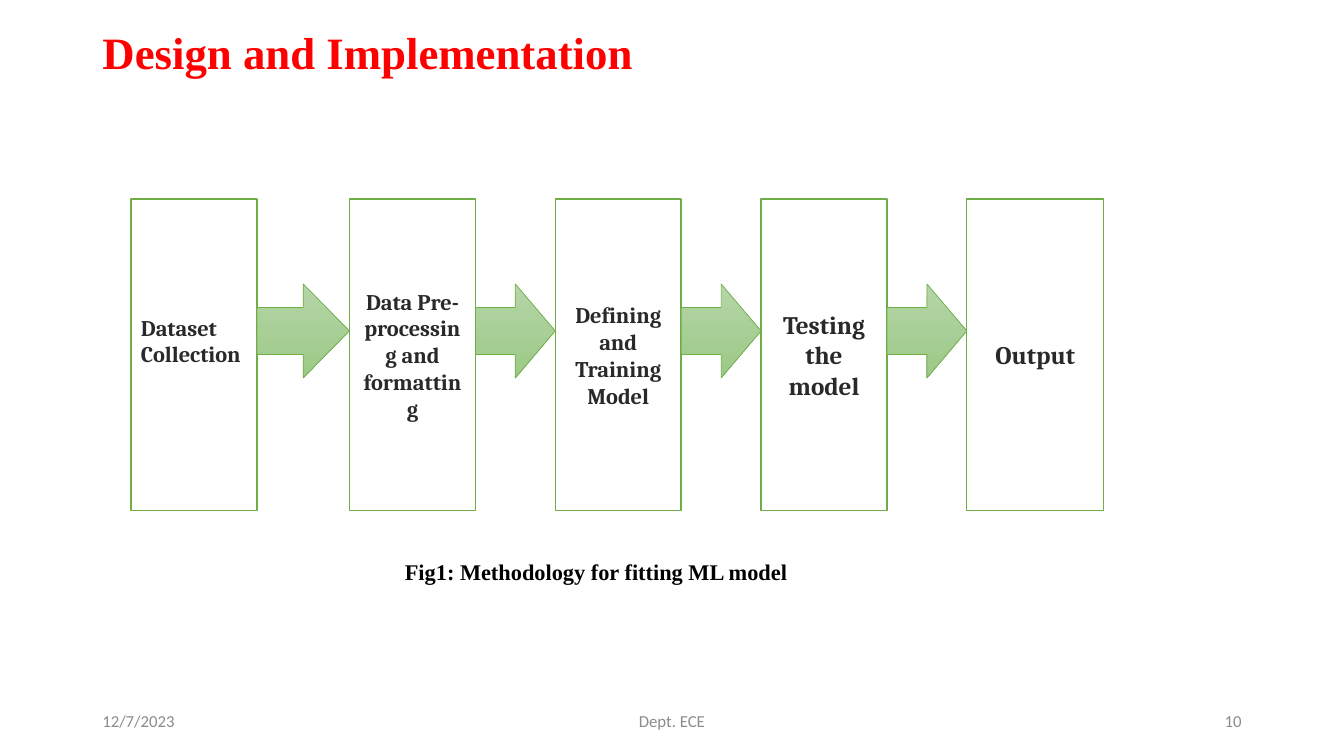
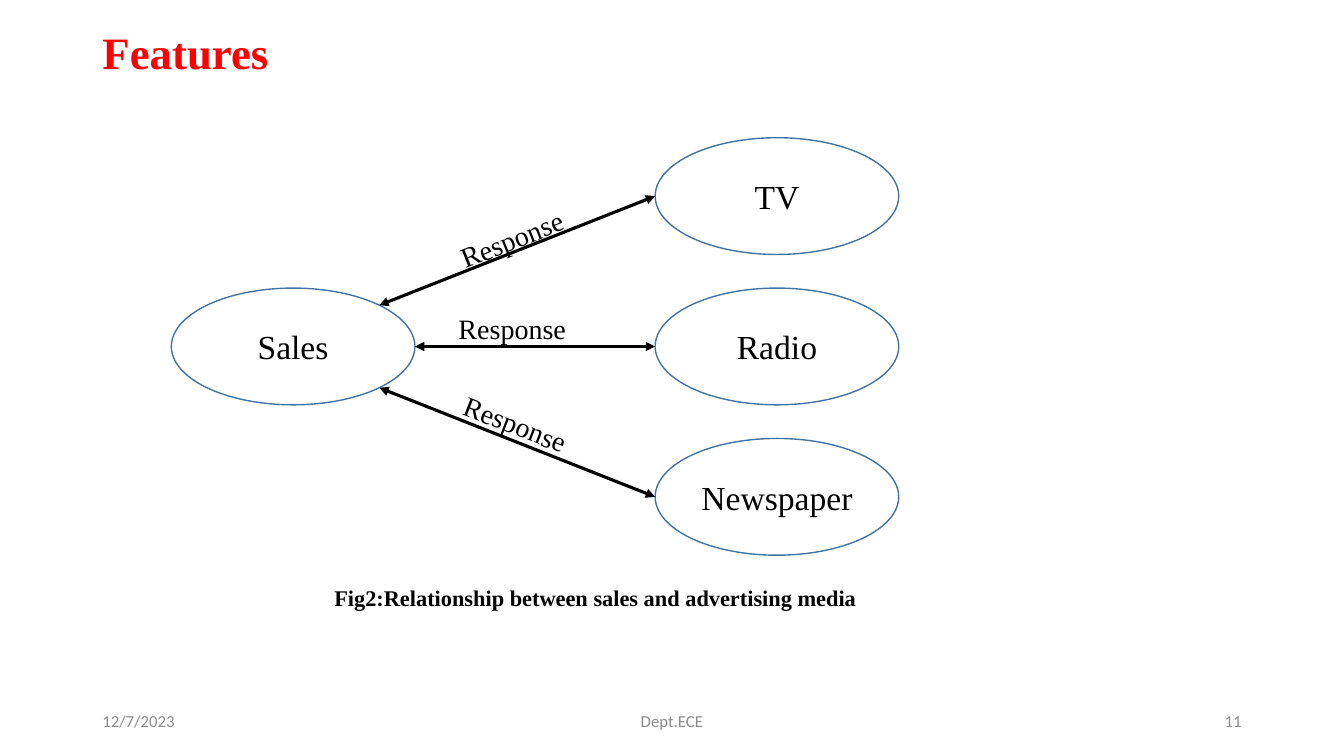
"""Build two slides: a five-step method flow and a sales-to-media relationship diagram."""
from dataclasses import dataclass
from math import sqrt

from lxml.etree import SubElement
from pptx import Presentation
from pptx.dml.color import RGBColor
from pptx.enum.shapes import MSO_CONNECTOR, MSO_SHAPE
from pptx.enum.text import MSO_ANCHOR, PP_ALIGN
from pptx.oxml.ns import qn
from pptx.util import Inches, Pt

COLUMNS, ROWS = 160, 90
SERIF, BOX_FONT, FOOTER_FONT = "Times New Roman", "Cambria", "Calibri"
BLACK, WHITE, RED = "000000", "FFFFFF", "FF0000"
DARK, GRAY, GREEN, BLUE = "292929", "8C8C8C", "70AD47", "43739E"
ARROW_TOP, ARROW_BOTTOM = "B5D5A7", "9CC987"


@dataclass(frozen=True)
class Area:
    left: float
    top: float
    width: float
    height: float

    @property
    def middle(self):
        return self.top + self.height / 2

    @property
    def right(self):
        return self.left + self.width

    def lengths(self):
        return [grid(value) for value in (self.left, self.top, self.width, self.height)]


@dataclass(frozen=True)
class Step:
    text: str
    area: Area
    size: int = 16
    align: PP_ALIGN = PP_ALIGN.CENTER
    bottom_margin: float = 0.6


@dataclass(frozen=True)
class Label:
    area: Area
    rotation: float


TITLE = Area(11, 2.9, 69, 7.4)
FOOTERS = [
    (Area(11, 83.4, 36, 4.8), PP_ALIGN.LEFT),
    (Area(53, 83.4, 54, 4.8), PP_ALIGN.CENTER),
    (Area(113, 83.4, 36, 4.8), PP_ALIGN.RIGHT),
]


def step_area(column: float, width: float = 15) -> Area:
    return Area(column, 23.7, width, 37.1)


SECOND_STEP, STEP_PITCH = 41.6, 24.5
STEPS = [
    Step("Dataset Collection", step_area(15.6), align=PP_ALIGN.LEFT, bottom_margin=4),
    Step("Data Pre-processing and formatting", step_area(SECOND_STEP)),
    Step("Defining and Training Model", step_area(SECOND_STEP + STEP_PITCH)),
    Step("Testing the model", step_area(SECOND_STEP + 2 * STEP_PITCH), 18),
    Step("Output", step_area(SECOND_STEP + 3 * STEP_PITCH, 16.3), 18),
]

OVAL_WIDTH, OVAL_HEIGHT, OVAL_PITCH = 29, 13.9, 17.9
SALES = Area(20.4, 34.3, OVAL_WIDTH, OVAL_HEIGHT)
MEDIA = ["TV", "Radio", "Newspaper"]
LABELS = [
    Label(Area(53.2, 25.3, 20.3, 4.7), 338.3),
    Label(Area(53.4, 37, 20.3, 6.1), 0),
    Label(Area(53.4, 49.2, 20.3, 5.4), 21.3),
]


def grid(units: float) -> int:
    return Inches(units / 12)


def color(value: str) -> RGBColor:
    return RGBColor.from_string(value)


def write(frame, text: str, *, size: float, font: str = SERIF, ink: str = BLACK,
          bold: bool = False, align=PP_ALIGN.LEFT, anchor=MSO_ANCHOR.MIDDLE,
          spacing: float = 1.0, before: float = 0) -> None:
    frame.word_wrap = True
    frame.vertical_anchor = anchor
    paragraph = frame.paragraphs[0]
    paragraph.alignment = align
    paragraph.line_spacing = spacing
    paragraph.space_before = Pt(before)
    run = paragraph.add_run()
    run.text = text
    run.font.size, run.font.name, run.font.bold = Pt(size), font, bold
    run.font.color.rgb = color(ink)


def add_text(slide, text: str, area: Area, **style):
    box = slide.shapes.add_textbox(*area.lengths())
    write(box.text_frame, text, **style)
    return box


def add_figure(slide, kind, area: Area, outline: str, line_width: float = 1):
    shape = slide.shapes.add_shape(kind, *area.lengths())
    shape.shadow.inherit = False
    shape.fill.solid()
    shape.fill.fore_color.rgb = color(WHITE)
    shape.line.color.rgb = color(outline)
    shape.line.width = Pt(line_width)
    return shape


def add_block_arrow(slide, start: Area, end: Area) -> None:
    area = Area(start.right, 33.8, end.left - start.right, 11.2)
    arrow = add_figure(slide, MSO_SHAPE.RIGHT_ARROW, area, GREEN, 0.5)
    arrow.fill.gradient()
    arrow.fill.gradient_angle = 270
    for stop, shade in zip(arrow.fill.gradient_stops, (ARROW_TOP, ARROW_BOTTOM)):
        stop.color.rgb = color(shade)


def add_oval(slide, text: str, area: Area) -> None:
    oval = add_figure(slide, MSO_SHAPE.OVAL, area, BLUE)
    write(oval.text_frame, text, size=24, align=PP_ALIGN.CENTER)


def add_double_arrow(slide, start: tuple[float, float], end: tuple[float, float]) -> None:
    ends = [grid(value) for value in (*start, *end)]
    connector = slide.shapes.add_connector(MSO_CONNECTOR.STRAIGHT, *ends)
    connector.line.color.rgb = color(BLACK)
    connector.line.width = Pt(2.25)
    line = connector.line._get_or_add_ln()
    for tag in ("a:headEnd", "a:tailEnd"):
        SubElement(line, qn(tag), type="triangle")
    SubElement(connector._element.spPr, qn("a:effectLst"))


def add_caption(slide, text: str, area: Area) -> None:
    table = slide.shapes.add_table(1, 1, *area.lengths()).table
    table.first_row = table.horz_banding = False
    cell = table.cell(0, 0)
    cell.fill.background()
    write(cell.text_frame, text, size=16, bold=True)
    cell.vertical_anchor = MSO_ANCHOR.TOP


def add_slide(presentation, title: str, footers: tuple[str, str, str]):
    slide = presentation.slides.add_slide(presentation.slide_layouts[5])
    heading = slide.shapes.title
    heading.left, heading.top, heading.width, heading.height = TITLE.lengths()
    write(heading.text_frame, title, size=32, ink=RED, bold=True, spacing=0.9)
    for text, (area, align) in zip(footers, FOOTERS):
        add_text(slide, text, area, size=12, font=FOOTER_FONT, ink=GRAY, align=align)
    return slide


def build_method(presentation) -> None:
    slide = add_slide(presentation, "Design and Implementation",
                      ("12/7/2023", "Dept. ECE", "10"))
    for step in STEPS:
        box = add_figure(slide, MSO_SHAPE.RECTANGLE, step.area, GREEN)
        box.text_frame.margin_bottom = grid(step.bottom_margin)
        write(box.text_frame, step.text, size=step.size, font=BOX_FONT, ink=DARK,
              bold=True, align=step.align)
    for start, end in zip(STEPS, STEPS[1:]):
        add_block_arrow(slide, start.area, end.area)
    add_caption(slide, "Fig1: Methodology for fitting ML model", Area(47, 66.1, 58.7, 4.9))


def build_features(presentation) -> None:
    slide = add_slide(presentation, "Features", ("12/7/2023", "Dept.ECE", "11"))
    add_oval(slide, "Sales", SALES)
    center = SALES.left + OVAL_WIDTH / 2
    diagonal_x = center + OVAL_WIDTH / 2 / sqrt(2)
    diagonal_y = OVAL_HEIGHT / 2 / sqrt(2)
    starts = [
        (diagonal_x, SALES.middle - diagonal_y),
        (SALES.right, SALES.middle),
        (diagonal_x, SALES.middle + diagonal_y),
    ]
    for index, (medium, start, label) in enumerate(zip(MEDIA, starts, LABELS)):
        top = SALES.top + (index - 1) * OVAL_PITCH
        area = Area(78, top, OVAL_WIDTH, OVAL_HEIGHT)
        add_oval(slide, medium, area)
        add_double_arrow(slide, start, (area.left, area.middle))
        box = add_text(slide, "Response", label.area, size=20, anchor=MSO_ANCHOR.TOP,
                       spacing=0.9, before=10)
        box.rotation = label.rotation
    add_caption(slide, "Fig2:Relationship between sales and advertising media",
                Area(38.6, 69.2, 71.9, 4.9))


def main() -> None:
    presentation = Presentation()
    presentation.slide_width, presentation.slide_height = grid(COLUMNS), grid(ROWS)
    build_method(presentation)
    build_features(presentation)
    presentation.save("out.pptx")


if __name__ == "__main__":
    main()
